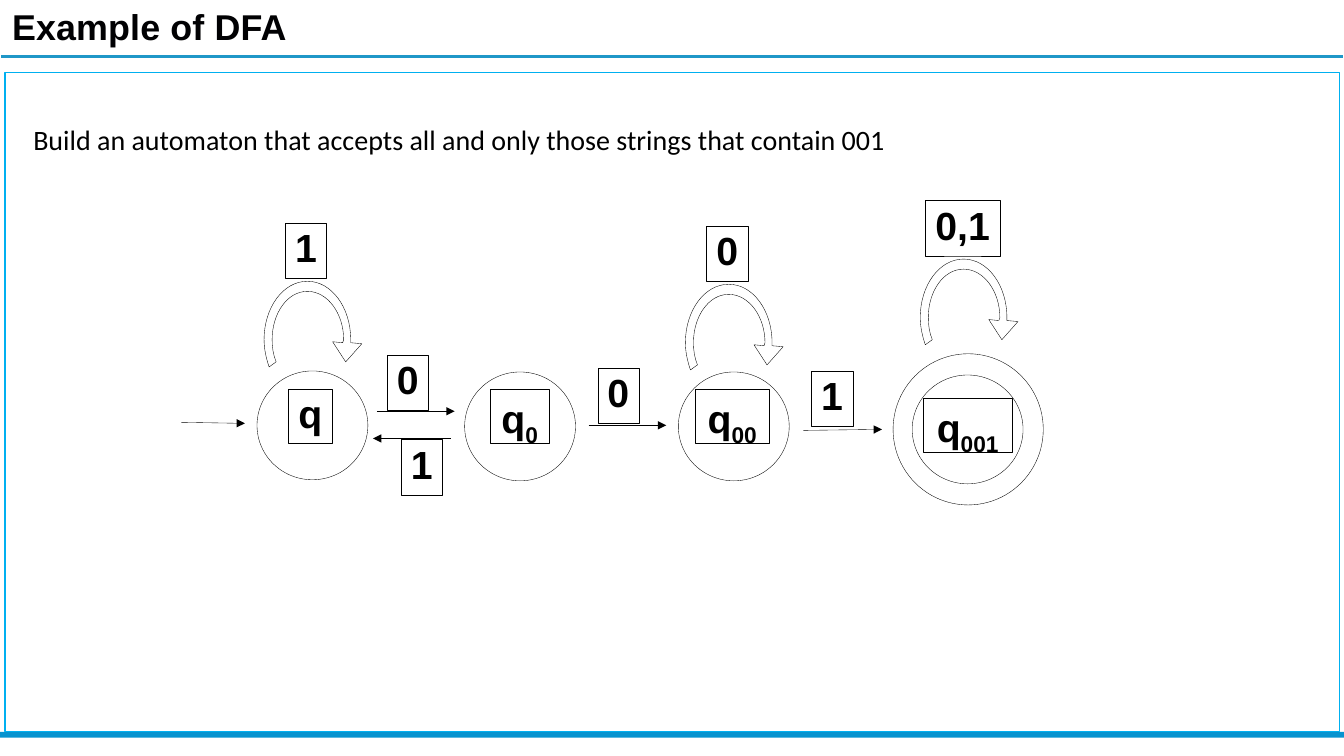
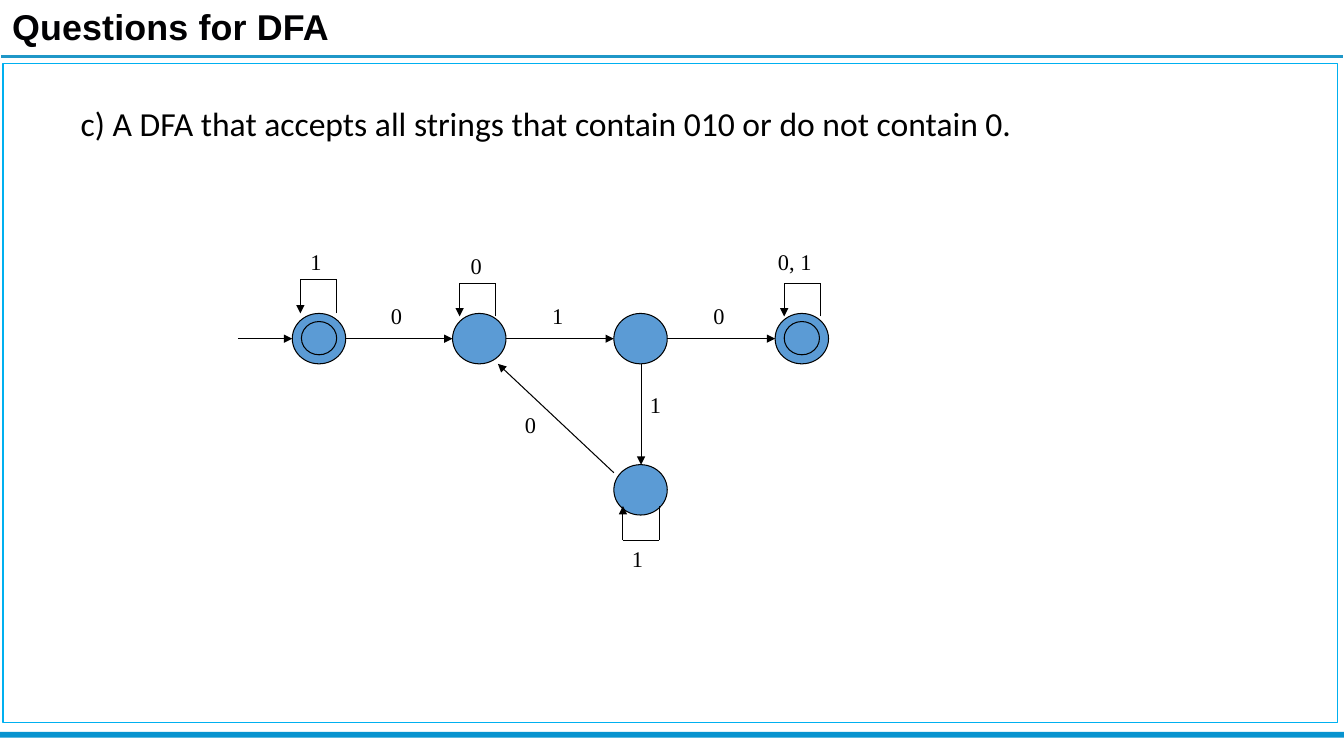
from dataclasses import dataclass

from lxml.etree import SubElement
from pptx import Presentation
from pptx.dml.color import RGBColor
from pptx.enum.shapes import MSO_CONNECTOR as Connector, MSO_SHAPE as Shape
from pptx.enum.text import MSO_ANCHOR as Anchor, MSO_AUTO_SIZE as AutoSize, PP_ALIGN as Align
from pptx.oxml.ns import qn
from pptx.util import Inches, Pt


@dataclass(frozen=True)
class TextStyle:
    font: str
    size: float
    bold: bool = False
    color: str = "000000"
    align: Align = Align.LEFT
    spacing: float = 1.0
    before: float = 0


@dataclass(frozen=True)
class Theme:
    ink: str = "000000"
    paper: str = "FFFFFF"
    rule: str = "1F97C8"
    band: str = "0793CF"
    frame: str = "00B0F0"
    state: str = "5B9BD5"
    thin: float = 0.25
    normal: float = 0.75
    title: TextStyle = TextStyle("Arial", 25.6, True, "010103")
    task: TextStyle = TextStyle("Calibri", 20, align=Align.JUSTIFY, spacing=1.5)
    question: TextStyle = TextStyle("Calibri", 24, spacing=0.9, before=10)
    symbol: TextStyle = TextStyle("Arial", 28, True, align=Align.CENTER, spacing=0.93)
    edge: TextStyle = TextStyle("Times New Roman", 16)


theme = Theme()


def write(box, style, text, subscript="", wrap=True):
    frame = box.text_frame
    frame.word_wrap = wrap
    frame.auto_size = AutoSize.NONE
    frame.vertical_anchor = Anchor.TOP
    para = frame.paragraphs[0]
    para.alignment = style.align
    para.line_spacing = style.spacing
    para.space_before = Pt(style.before)
    for part, baseline in ((text, "0"), (subscript, "-25000")):
        if part:
            span = para.add_run()
            span.text = part
            span.font.name = style.font
            span.font.size = Pt(style.size)
            span.font.bold = style.bold
            span.font.color.rgb = RGBColor.from_string(style.color)
            span.font._element.set("baseline", baseline)
    return para


def paint(shape, line=None, width=0, fill=None):
    shape.shadow.inherit = False
    if fill:
        shape.fill.solid()
        shape.fill.fore_color.rgb = RGBColor.from_string(fill)
    else:
        shape.fill.background()
    if line:
        shape.line.color.rgb = RGBColor.from_string(line)
        shape.line.width = Pt(width)
    else:
        shape.line.fill.background()


deck = Presentation()
deck.slide_width = Inches(40 / 3)
deck.slide_height = Inches(7.5)
layout = deck.slide_layouts[1]

pages = []
for title, frame_at, text, style, text_at, inset in (
    ("Example of DFA", (0.05, 0.72),
     "Build an automaton that accepts all and only those strings that contain 001",
     theme.task, (0.33, 1.05, 13.12, 0.5), (0, 0)),
    ("Questions for DFA", (0.03, 0.63),
     "c) A DFA that accepts all strings that contain 010 or do not contain 0.",
     theme.question, (0.7, 1.02, 11.32, 4.95), (0.1, 0.05)),
):
    page = deck.slides.add_slide(layout)
    pages.append(page)
    heading, body = page.placeholders
    for box, place, (side, edge) in (
        (heading, (0.1, 0.05, 7.89, 0.43), (0, 0)),
        (body, text_at, inset),
    ):
        box.left, box.top, box.width, box.height = map(Inches, place)
        frame = box.text_frame
        frame.margin_left = frame.margin_right = Inches(side)
        frame.margin_top = frame.margin_bottom = Inches(edge)
    para = write(heading, theme.title, title)
    para._p.get_or_add_pPr().set("marL", str(Inches(0.02)))
    para.runs[0].font._element.set("spc", "15")
    properties = write(body, style, text)._p.get_or_add_pPr()
    properties.set("marL", "0")
    properties.set("indent", "0")
    SubElement(properties, qn("a:buNone"))
    border = page.shapes.add_shape(Shape.RECTANGLE, *map(Inches, (*frame_at, 13.24, 6.54)))
    paint(border, theme.frame, 1, theme.paper)
    heading.element.addnext(border.element)

example, question = pages

rule = example.shapes.add_connector(
    Connector.STRAIGHT, *map(Inches, (0.01, 0.56, 13.32, 0.56)))
rule.line.color.rgb = RGBColor.from_string(theme.rule)
rule.line.width = Pt(2.25)
SubElement(rule.element.spPr, qn("a:effectLst"))
band = example.shapes.add_shape(
    Shape.RECTANGLE, 0, Inches(7.26), deck.slide_width, Inches(0.06))
paint(band, fill=theme.band)
for shared in (rule, band):
    layout.shapes.element.append(shared.element)

example_circles = [(x, y, 1.1, 1.08) for x, y in
                   ((2.55, 3.68), (4.61, 3.69), (6.73, 3.69), (9.05, 3.72))]
example_circles.append((8.86, 3.51, 1.49, 1.5))
row = (2.9, 4.49, 6.09, 7.69)
question_circles = [(x, 3.11, 0.53, 0.5) for x in row] + [(row[2], 4.61, 0.53, 0.5)]
question_circles += [(x + 0.09, 3.19, 0.35, 0.33) for x in (row[0], row[3])]
for page, circles, width, fill in (
    (example, example_circles, theme.thin, None),
    (question, question_circles, theme.normal, theme.state),
):
    for place in circles:
        circle = page.shapes.add_shape(Shape.OVAL, *map(Inches, place))
        paint(circle, theme.ink, width, fill)

loop_outline = (
    ((0.35, 0.02), (0.36, 0.01), (0.36, 0)),
    ((0.36, -0.26), (0.2, -0.48), (0, -0.48)),
    ((-0.2, -0.48), (-0.35, -0.26), (-0.35, 0)),
    ((-0.35, 0.07), (-0.34, 0.15), (-0.31, 0.22)),
    ((-0.38, 0.27),),
    ((-0.41, 0.18), (-0.43, 0.09), (-0.43, 0)),
    ((-0.43, -0.32), (-0.24, -0.58), (0, -0.58)),
    ((0.24, -0.58), (0.43, -0.32), (0.43, 0)),
    ((0.43, 0.01), (0.43, 0.02), (0.43, 0.03)),
    ((0.54, 0.04),),
    ((0.38, 0.22),),
    ((0.25, 0.02),),
)
for center_x, center_y in ((3.05, 3.37), (7.23, 3.4), (9.56, 3.15)):
    builder = example.shapes.build_freeform(Inches(center_x + 0.35), Inches(center_y + 0.03))
    builder.add_line_segments(
        [(Inches(center_x + x), Inches(center_y + y)) for part in loop_outline for x, y in part])
    loop = builder.convert_to_shape()
    segments = iter(list(loop.element.iter(qn("a:lnTo"))))
    for part in loop_outline:
        steps = [next(segments) for _ in part]
        if len(steps) == 3:
            curve = SubElement(steps[0].getparent(), qn("a:cubicBezTo"))
            steps[0].addprevious(curve)
            for step in steps:
                curve.append(step[0])
                step.getparent().remove(step)
    paint(loop, theme.ink, theme.thin, theme.paper)

for text, subscript, left, top, width, height in (
    ("q", "", 2.86, 3.86, 0.44, 0.54),
    ("q", "0", 4.86, 3.86, 0.59, 0.54),
    ("q", "00", 6.9, 3.86, 0.73, 0.54),
    ("q", "001", 9.16, 3.95, 0.88, 0.54),
    ("1", "", 2.83, 2.21, 0.41, 0.55),
    ("0", "", 7.01, 2.24, 0.41, 0.55),
    ("0,1", "", 9.18, 1.99, 0.74, 0.55),
    ("0", "", 3.84, 3.52, 0.41, 0.55),
    ("1", "", 3.98, 4.36, 0.41, 0.55),
    ("0", "", 5.93, 3.65, 0.41, 0.55),
    ("1", "", 8.05, 3.68, 0.41, 0.55),
):
    symbol = example.shapes.add_shape(
        Shape.RECTANGLE, *map(Inches, (left, top, width, height)))
    paint(symbol, theme.ink, theme.thin)
    write(symbol, theme.symbol, text, subscript, wrap=False)

example_lines = [
    (1.8, 4.19, 2.43, 4.2, True),
    (3.74, 4.08, 4.51, 4.08, True),
    (4.47, 4.35, 3.7, 4.35, True),
    (5.84, 4.22, 6.61, 4.22, True),
    (7.97, 4.27, 8.75, 4.26, True),
]
question_lines = [
    (2.36, 3.36, row[0], 3.36, True),
    (6.36, 3.61, 6.36, 4.61, True),
    (row[2], 4.69, 4.94, 3.61, True),
]
question_lines += [(start + 0.53, 3.36, end, 3.36, True) for start, end in zip(row, row[1:])]
for left, foot, bend in (
    (2.98, 3.11, 2.77), (4.56, 3.14, 2.81), (7.78, 3.14, 2.81), (6.18, 5.02, 5.36),
):
    right = left + 0.36
    question_lines += [
        (right, foot, right, bend, False),
        (right, bend, left, bend, False),
        (left, bend, left, foot, True),
    ]
for page, lines, width in (
    (example, example_lines, theme.thin),
    (question, question_lines, theme.normal),
):
    for *ends, arrow in lines:
        link = page.shapes.add_connector(Connector.STRAIGHT, *map(Inches, ends))
        link.line.color.rgb = RGBColor.from_string(theme.ink)
        link.line.width = Pt(width)
        if arrow:
            SubElement(link.line._get_or_add_ln(), qn("a:tailEnd"), type="triangle")
        SubElement(link.element.spPr, qn("a:effectLst"))

for text, left, top, width in (
    ("1", 2.98, 2.41, 0.33),
    ("0", 4.57, 2.45, 0.33),
    ("0, 1", 7.62, 2.41, 0.57),
    ("0", 3.78, 2.95, 0.33),
    ("1", 5.38, 2.95, 0.33),
    ("0", 6.98, 2.95, 0.33),
    ("0", 5.11, 4.03, 0.33),
    ("1", 6.35, 3.83, 0.33),
    ("1", 6.17, 5.36, 0.33),
):
    label = question.shapes.add_textbox(*map(Inches, (left, top, width, 0.37)))
    write(label, theme.edge, text, wrap=False)

deck.save("out.pptx")
